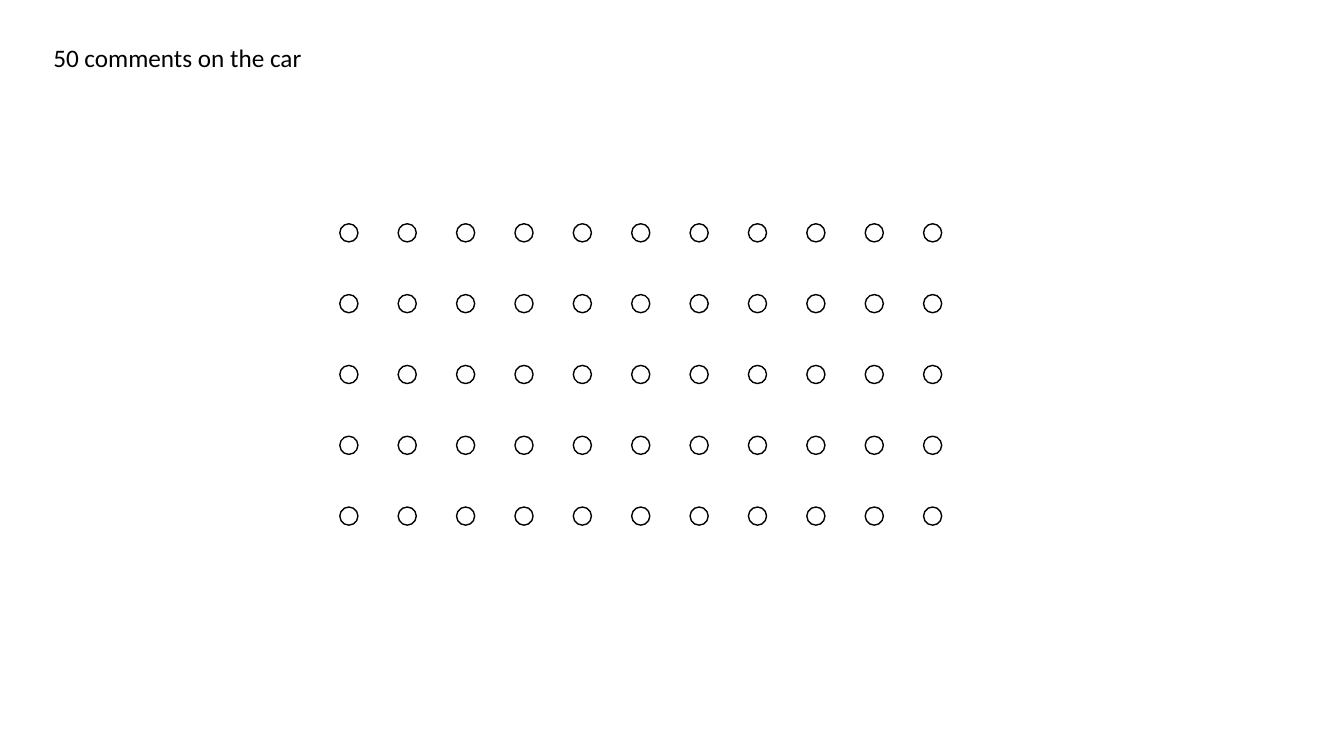
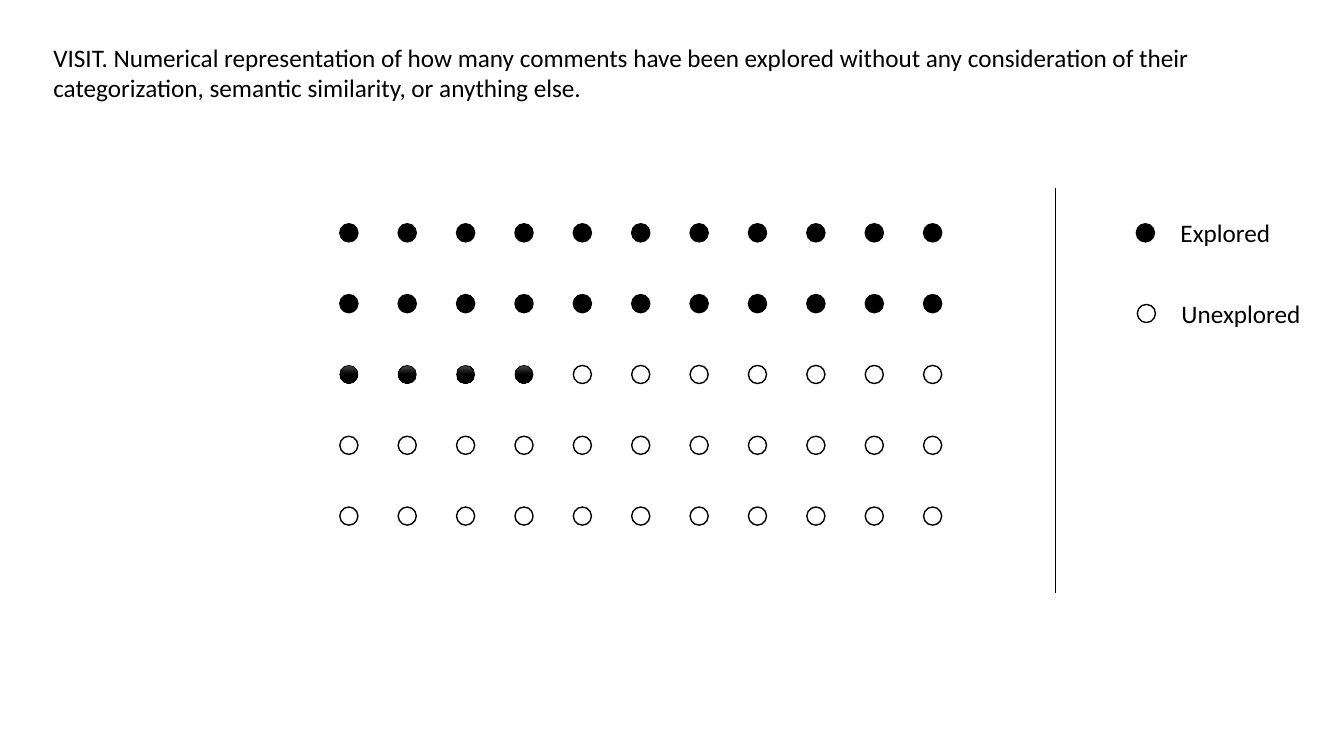
from copy import deepcopy
from itertools import product

from lxml.etree import SubElement
from pptx import Presentation
from pptx.dml.color import RGBColor
from pptx.enum.shapes import MSO_CONNECTOR, MSO_SHAPE
from pptx.enum.text import MSO_AUTO_SIZE
from pptx.oxml.ns import qn
from pptx.util import Inches, Pt

COLORS = {"ink": "000000", "paper": "FFFFFF", "sheen": "4B4B4B"}
TEXT_FORMAT = {"name": "Calibri", "size": Pt(18)}
SLIDES = [
    {"title": "50 comments on the car", "width": 2.69, "height": 0.4,
     "wrap": False, "explored": 0, "legend": []},
    {"title": "VISIT. Numerical representation of how many comments have been "
              "explored without any consideration of their categorization, "
              "semantic similarity, or anything else.",
     "width": 12.28, "height": 0.71, "wrap": True, "explored": 26,
     "legend": [("Explored", "solid", 11.27, 2.22, 1.1),
                ("Unexplored", "empty", 11.28, 3.02, 1.4)]},
]
DOT_STYLES = {"solid": ("ink", 1), "empty": ("paper", 1), "glossy": ("sheen", 0.5)}
GLOSS_STOPS = [(0, "sheen"), (0.5, "ink"), (1, "ink")]
GLOSSY_ROW = 2
ROWS, COLUMNS = 5, 11
GRID_LEFT, GRID_TOP = 3.37, 2.22
COLUMN_STEP = (9.16 - GRID_LEFT) / (COLUMNS - 1)
ROW_STEP = (5.03 - GRID_TOP) / (ROWS - 1)
DOT_SIZE = 0.18
TITLE_LEFT, TITLE_TOP = 0.43, 0.37
DIVIDER = (10.47, 1.87, 10.47, 5.88)
LABEL_SHIFT, LABEL_RISE, LABEL_HEIGHT = 0.34, 0.11, 0.4


def color(name):
    return RGBColor.from_string(COLORS[name])


def add_text(page, text, left, top, width, height, wrap=False):
    box = page.shapes.add_textbox(*map(Inches, (left, top, width, height)))
    box.text_frame.word_wrap = wrap
    box.text_frame.auto_size = MSO_AUTO_SIZE.SHAPE_TO_FIT_TEXT
    span = box.text_frame.paragraphs[0].add_run()
    span.text = text
    for name, value in TEXT_FORMAT.items():
        setattr(span.font, name, value)
    span.font.color.rgb = color("ink")


def fill_with_gloss(dot):
    dot.fill.gradient()
    dot.fill.gradient_angle = 270
    stop_list = dot._element.spPr.find(qn("a:gradFill")).find(qn("a:gsLst"))
    stop_list.append(deepcopy(stop_list[-1]))
    for stop, (position, name) in zip(dot.fill.gradient_stops, GLOSS_STOPS):
        stop.position = position
        stop.color.rgb = color(name)


def add_dot(page, left, top, style):
    dot = page.shapes.add_shape(
        MSO_SHAPE.OVAL, *map(Inches, (left, top, DOT_SIZE, DOT_SIZE)))
    dot.shadow.inherit = False
    fill_name, line_width = DOT_STYLES[style]
    if style == "glossy":
        fill_with_gloss(dot)
    else:
        dot.fill.solid()
        dot.fill.fore_color.rgb = color(fill_name)
    dot.line.color.rgb = color("ink")
    dot.line.width = Pt(line_width)


def add_grid(page, explored):
    for row, column in product(range(ROWS), range(COLUMNS)):
        style = "empty"
        if row * COLUMNS + column < explored:
            style = "glossy" if row == GLOSSY_ROW else "solid"
        add_dot(page, GRID_LEFT + column * COLUMN_STEP,
                GRID_TOP + row * ROW_STEP, style)


def add_legend(page, entries):
    divider = page.shapes.add_connector(
        MSO_CONNECTOR.STRAIGHT, *map(Inches, DIVIDER))
    divider.line.color.rgb = color("ink")
    divider.line.width = Pt(0.5)
    SubElement(divider._element.spPr, qn("a:effectLst"))
    for label, style, left, top, width in entries:
        add_dot(page, left, top, style)
        add_text(page, label, left + LABEL_SHIFT, top - LABEL_RISE,
                 width, LABEL_HEIGHT)


deck = Presentation()
deck.slide_width, deck.slide_height = Inches(13.33), Inches(7.5)
for content in SLIDES:
    page = deck.slides.add_slide(deck.slide_layouts[6])
    add_grid(page, content["explored"])
    add_text(page, content["title"], TITLE_LEFT, TITLE_TOP,
             content["width"], content["height"], content["wrap"])
    if content["legend"]:
        add_legend(page, content["legend"])
deck.save("out.pptx")
